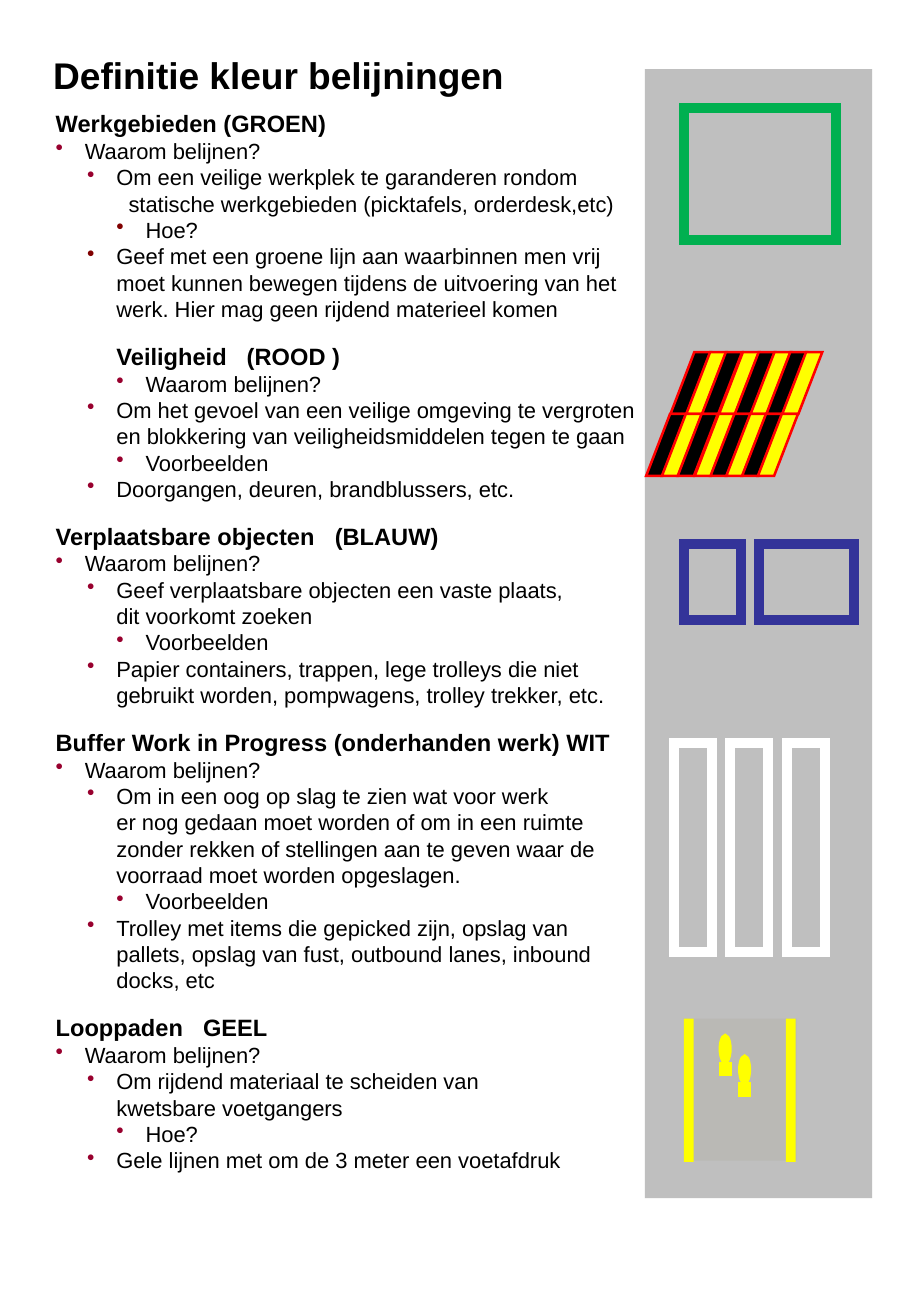
import pptx
import pptx.util
import pptx.dml.color
import pptx.enum.shapes
import pptx.oxml.ns
from lxml import etree

PX = 9144
SHAPE = pptx.enum.shapes.MSO_SHAPE
COLORS = {
    "text": "000000", "bullet": "98002E", "maroon": "800000",
    "floor": "BFBFBF", "path": "BAB9B5", "green": "00B050",
    "red": "FF0000", "blue": "333399", "white": "FFFFFF",
    "yellow": "FFFF00", "black": "000000",
}
LEVELS = {
    "why": (24, -24, "bullet"),
    "point": (50, -24, "bullet"),
    "point_maroon": (50, -24, "maroon"),
    "more": (50, 0, None),
    "more_inset": (60, 0, None),
    "sub": (74, -24, "bullet"),
    "sub_maroon": (74, -24, "maroon"),
}
SECTIONS = [
    (["Werkgebieden (GROEN)"], 0, [
        ("why", "Waarom belijnen?"),
        ("point", "Om een veilige werkplek te garanderen rondom"),
        ("more_inset", "statische werkgebieden (picktafels, orderdesk,etc)"),
        ("sub_maroon", "Hoe?"),
        ("point_maroon", "Geef met een groene lijn aan waarbinnen men vrij"),
        ("more", "moet kunnen bewegen tijdens de uitvoering van het"),
        ("more", "werk. Hier mag geen rijdend materieel komen"),
    ]),
    (["Veiligheid", "(ROOD )"], 50, [
        ("sub", "Waarom belijnen?"),
        ("point", "Om het gevoel van een veilige omgeving te vergroten"),
        ("more", "en blokkering van veiligheidsmiddelen tegen te gaan"),
        ("sub", "Voorbeelden"),
        ("point", "Doorgangen, deuren, brandblussers, etc."),
    ]),
    (["Verplaatsbare objecten", "(BLAUW)"], 0, [
        ("why", "Waarom belijnen?"),
        ("point", "Geef verplaatsbare objecten een vaste plaats,"),
        ("more", "dit voorkomt zoeken"),
        ("sub", "Voorbeelden"),
        ("point", "Papier containers, trappen, lege trolleys die niet"),
        ("more", "gebruikt worden, pompwagens, trolley trekker, etc."),
    ]),
    (["Buffer Work in Progress (onderhanden werk) WIT"], 0, [
        ("why", "Waarom belijnen?"),
        ("point", "Om in een oog op slag te zien wat voor werk"),
        ("more", "er nog gedaan moet worden of om in een ruimte"),
        ("more", "zonder rekken of stellingen aan te geven waar de"),
        ("more", "voorraad moet worden opgeslagen."),
        ("sub", "Voorbeelden"),
        ("point", "Trolley met items die gepicked zijn, opslag van"),
        ("more", "pallets, opslag van fust, outbound lanes, inbound"),
        ("more", "docks, etc"),
    ]),
    (["Looppaden", "GEEL"], 0, [
        ("why", "Waarom belijnen?"),
        ("point", "Om rijdend materiaal te scheiden van"),
        ("more", "kwetsbare voetgangers"),
        ("sub", "Hoe?"),
        ("point", "Gele lijnen met om de 3 meter een voetafdruk"),
    ]),
]


def rgb(name):
    return pptx.dml.color.RGBColor.from_string(COLORS[name])


def add_element(parent, tag, **attrs):
    el = etree.SubElement(parent, pptx.oxml.ns.qn(tag))
    for key, value in attrs.items():
        el.set(key, str(value))
    return el


def add_figure(shapes, kind, x, y, w, h, fill, line=None, weight=6):
    sp = shapes.add_shape(kind, x * PX, y * PX, w * PX, h * PX)
    sp.shadow.inherit = False
    sp.fill.solid()
    sp.fill.fore_color.rgb = rgb(fill)
    if line is None:
        sp.line.fill.background()
    else:
        sp.line.color.rgb = rgb(line)
        sp.line.width = pptx.util.Pt(weight)
        add_element(sp.line._ln, "a:miter", lim=800000)
    return sp


def add_textbox(s, x, y, w, h):
    tf = s.shapes.add_textbox(x * PX, y * PX, w * PX, h * PX).text_frame
    tf.word_wrap = True
    return tf


def add_run(p, text, spacing=None):
    r = p.add_run()
    r.text = text
    if spacing:
        r._r.get_or_add_rPr().set("spc", str(spacing))


def fill_paragraph(p, parts, size, bold=False):
    for i, part in enumerate(parts):
        if i:
            add_run(p, " ", 780)
        add_run(p, part)
    p.font.name = "Arial"
    p.font.size = pptx.util.Pt(size)
    p.font.bold = bold
    p.font.color.rgb = rgb("text")


def set_indent(p, left, first, bullet=None):
    pPr = p._p.get_or_add_pPr()
    pPr.set("marL", str(left * PX))
    pPr.set("indent", str(first * PX))
    if bullet:
        color = add_element(pPr, "a:buClr")
        add_element(color, "a:srgbClr", val=COLORS[bullet])
        add_element(pPr, "a:buChar", char="•")


def add_sections(tf):
    for i, (heading, first, lines) in enumerate(SECTIONS):
        p = tf.add_paragraph() if i else tf.paragraphs[0]
        set_indent(p, 0, first)
        fill_paragraph(p, heading, 14, True)
        if i:
            p.space_before = pptx.util.Pt(11.8)
        for level, text in lines:
            p = tf.add_paragraph()
            set_indent(p, *LEVELS[level])
            fill_paragraph(p, [text], 13)


def add_hazard_stripes(s):
    group = s.shapes.add_group_shape().shapes
    for x, y in ((552, 290), (532, 341)):
        for i in range(8):
            fill = "yellow" if i % 2 else "black"
            sp = add_figure(group, SHAPE.PARALLELOGRAM, x + round(13.2 * i), y,
                            33, 51, fill, "red", 1.5)
            sp.adjustments[0] = 0.596


def add_walkway(s):
    group = s.shapes.add_group_shape().shapes
    add_figure(group, SHAPE.RECTANGLE, 563, 839, 93, 117, "path")
    for x in (563, 647):
        add_figure(group, SHAPE.RECTANGLE, x, 839, 8, 118, "yellow")


def add_footprint(s, x, y):
    group = s.shapes.add_group_shape().shapes
    add_figure(group, SHAPE.OVAL, x, y, 8, 22, "yellow", "yellow", 2)
    add_figure(group, SHAPE.RECTANGLE, x, y + 23, 8, 9, "yellow", "yellow", 2)


def add_frame(s, x, y, w, h, line):
    add_figure(s.shapes, SHAPE.RECTANGLE, x, y, w, h, "floor", line)


def main():
    prs = pptx.Presentation()
    prs.slide_width, prs.slide_height = 750 * PX, 1084 * PX
    s = prs.slides.add_slide(prs.slide_layouts[6])
    add_figure(s.shapes, SHAPE.RECTANGLE, 531, 57, 187, 930, "floor")
    title = add_textbox(s, 34, 38, 396, 47)
    fill_paragraph(title.paragraphs[0], ["Definitie kleur belijningen"], 22, True)
    add_sections(add_textbox(s, 36, 85, 669, 921))
    add_hazard_stripes(s)
    add_walkway(s)
    add_frame(s, 563, 89, 125, 109, "green")
    add_frame(s, 563, 448, 47, 63, "blue")
    add_frame(s, 625, 448, 78, 63, "blue")
    for i in range(3):
        add_frame(s, 555 + round(46.5 * i), 612, 31, 172, "white")
    add_footprint(s, 593, 853)
    add_footprint(s, 609, 870)
    prs.save("out.pptx")


if __name__ == "__main__":
    main()
